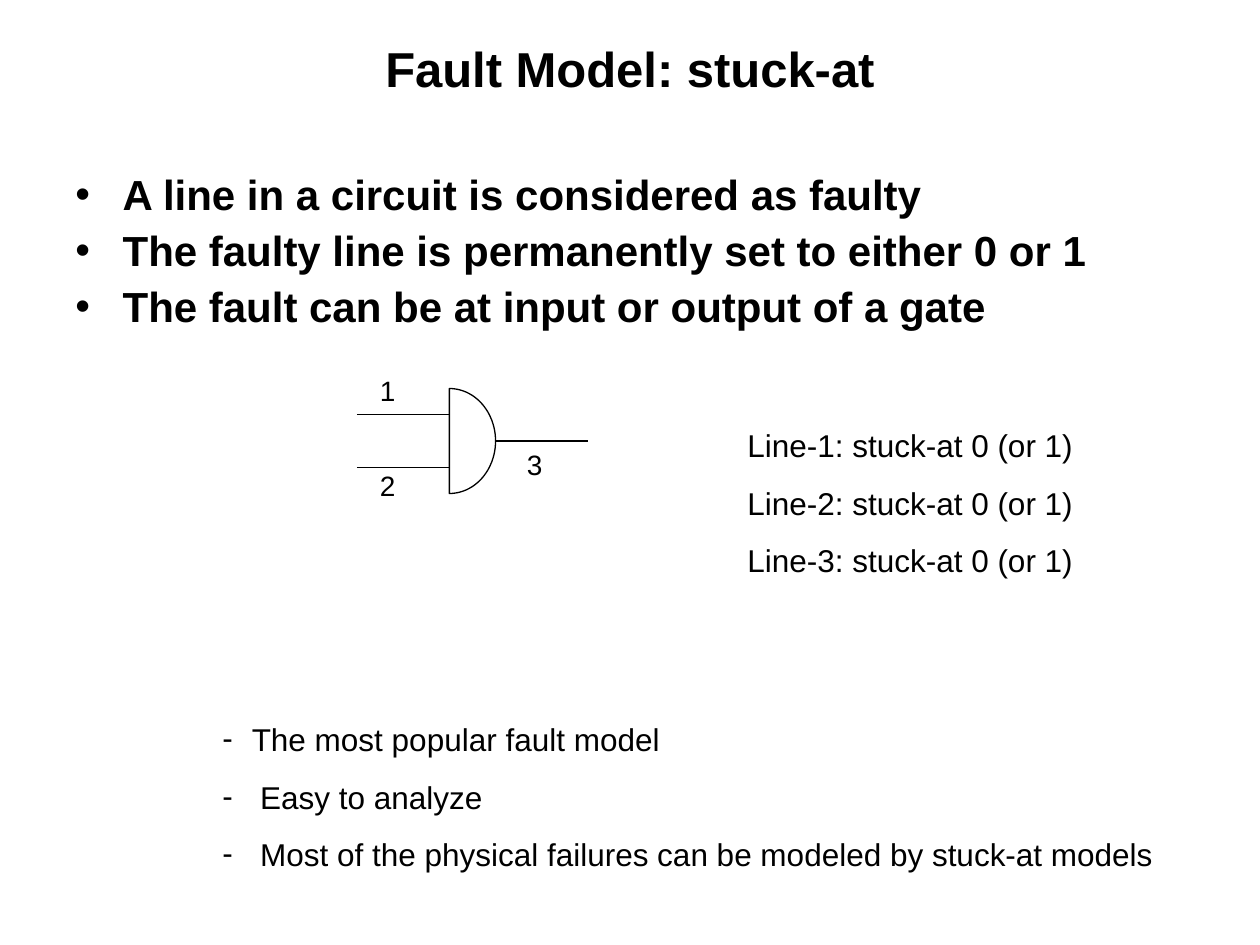
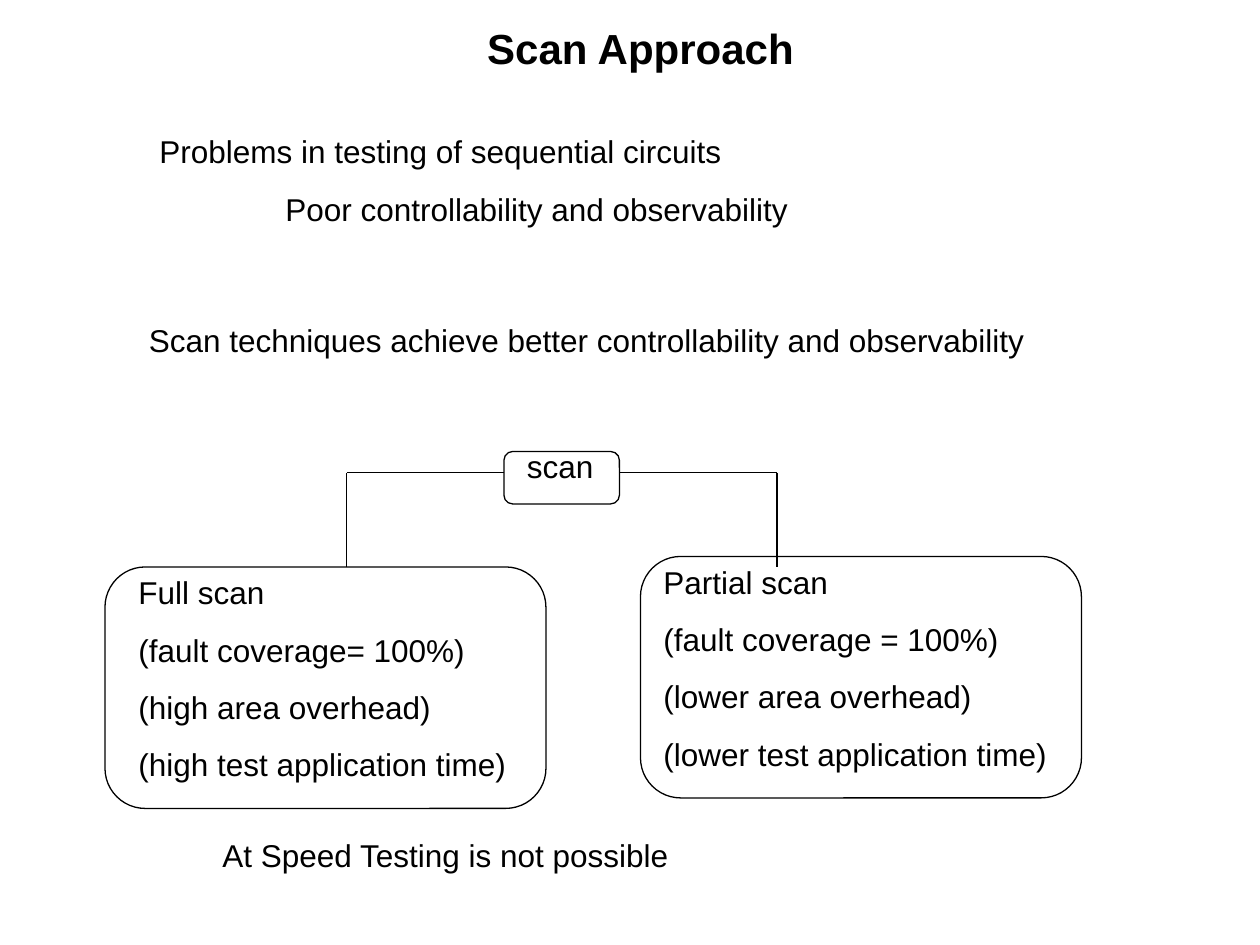
"""Builds two slides on circuit testing: the stuck-at fault model and the scan approach."""
from dataclasses import dataclass
from math import cos, pi, sin

from lxml import etree
from pptx import Presentation
from pptx.dml.color import RGBColor
from pptx.enum.shapes import MSO_CONNECTOR, MSO_SHAPE
from pptx.enum.text import MSO_ANCHOR, PP_ALIGN
from pptx.oxml.ns import qn
from pptx.slide import Slide
from pptx.util import Emu, Inches, Pt

STRAIGHT = MSO_CONNECTOR.STRAIGHT
ROUNDED = MSO_SHAPE.ROUNDED_RECTANGLE
MIDDLE, TOP = MSO_ANCHOR.MIDDLE, MSO_ANCHOR.TOP
CENTER, LEFT = PP_ALIGN.CENTER, PP_ALIGN.LEFT

WIDTH, HEIGHT = Inches(10), Inches(7.5)
COLUMNS, ROWS = 120, 90


@dataclass(frozen=True)
class Theme:
    """Colours, font and stroke shared by the slides."""
    ink: RGBColor = RGBColor(0, 0, 0)
    paper: RGBColor = RGBColor(255, 255, 255)
    font: str = "Arial"
    stroke: float = 0.75
    title_size: int = 28
    heading_size: int = 24
    text_size: int = 18
    pin_size: int = 16


THEME = Theme()


@dataclass(frozen=True)
class Style:
    """Look of the paragraphs in one text block."""
    size: int
    bold: bool = False
    align: PP_ALIGN = LEFT
    anchor: MSO_ANCHOR = TOP
    space_before: float = 11.2
    line_spacing: float = 1.0


TITLE = Style(THEME.title_size, True, CENTER, MIDDLE)
SMALL_TITLE = Style(THEME.heading_size, True, CENTER, MIDDLE)
POINTS = Style(THEME.heading_size, True, space_before=6, line_spacing=0.9)
TEXT = Style(THEME.text_size)
PIN = Style(THEME.pin_size)


@dataclass(frozen=True)
class Area:
    """Rectangle in grid columns and rows."""
    column: float
    row: float
    columns: float
    rows: float

    def lengths(self) -> tuple[Emu, Emu, Emu, Emu]:
        """Return left, top, width and height."""
        return across(self.column), down(self.row), across(self.columns), down(self.rows)


@dataclass(frozen=True)
class Entry:
    """Paragraph with its indent in columns and an optional bullet."""
    text: str
    indent: float = 0
    bullet: str = ""


@dataclass(frozen=True)
class Block:
    """Text block with its place and look."""
    area: Area
    entries: tuple[Entry, ...]
    style: Style = TEXT


@dataclass(frozen=True)
class Wire:
    """Straight line between two grid points."""
    start: tuple[float, float]
    end: tuple[float, float]


def across(columns: float) -> Emu:
    """Turn grid columns into a length."""
    return Emu(round(WIDTH * columns / COLUMNS))


def down(rows: float) -> Emu:
    """Turn grid rows into a length."""
    return Emu(round(HEIGHT * rows / ROWS))


def entries(*texts: str, indent: float = 0, bullet: str = "") -> tuple[Entry, ...]:
    """Make entries that share an indent and a bullet."""
    return tuple(Entry(text, indent, bullet) for text in texts)


def draw_block(page: Slide, block: Block) -> None:
    """Draw a text block."""
    style = block.style
    frame = page.shapes.add_textbox(*block.area.lengths()).text_frame
    frame.word_wrap = True
    frame.vertical_anchor = style.anchor
    frame.text = "\n".join(entry.text for entry in block.entries)
    for index, (para, entry) in enumerate(zip(frame.paragraphs, block.entries)):
        para.alignment = style.align
        para.line_spacing = style.line_spacing
        if index:
            para.space_before = Pt(style.space_before)
        properties = para._p.get_or_add_pPr()
        properties.set("marL", str(across(entry.indent)))
        if entry.bullet:
            properties.set("indent", str(-across(entry.indent)))
            etree.SubElement(properties, qn("a:buFont"), typeface=THEME.font)
            etree.SubElement(properties, qn("a:buChar"), char=entry.bullet)
        for span in para.runs:
            span.font.name = THEME.font
            span.font.size = Pt(style.size)
            span.font.bold = style.bold
            span.font.color.rgb = THEME.ink


def outline(shape) -> None:
    """Give a shape or connector the thin dark stroke."""
    shape.line.color.rgb = THEME.ink
    shape.line.width = Pt(THEME.stroke)


def draw_wire(page: Slide, wire: Wire) -> None:
    """Draw a straight line."""
    (left, top), (right, bottom) = wire.start, wire.end
    line = page.shapes.add_connector(
        STRAIGHT, across(left), down(top), across(right), down(bottom))
    outline(line)
    etree.SubElement(line._element.spPr, qn("a:effectLst"))


def draw_frame(page: Slide, area: Area) -> None:
    """Draw an unfilled rounded frame."""
    box = page.shapes.add_shape(ROUNDED, *area.lengths())
    box.shadow.inherit = False
    box.fill.background()
    outline(box)


def draw_gate(page: Slide, area: Area, steps: int = 48) -> None:
    """Draw an AND gate as a closed half ellipse."""
    middle, radius = area.row + area.rows / 2, area.rows / 2
    angles = [pi * (step / steps - 0.5) for step in range(steps + 1)]
    points = [(across(area.column + area.columns * cos(angle)),
               down(middle + radius * sin(angle))) for angle in angles]
    builder = page.shapes.build_freeform(*points[0])
    builder.add_line_segments(points[1:], close=True)
    gate = builder.convert_to_shape()
    gate.shadow.inherit = False
    gate.fill.background()
    outline(gate)


def add_page(deck, blocks: tuple[Block, ...], wires: tuple[Wire, ...]) -> Slide:
    """Add a blank page with text blocks and wires."""
    page = deck.slides.add_slide(deck.slide_layouts[6])
    page.background.fill.solid()
    page.background.fill.fore_color.rgb = THEME.paper
    for block in blocks:
        draw_block(page, block)
    for wire in wires:
        draw_wire(page, wire)
    return page


def add_fault_model(deck) -> None:
    """Add the stuck-at fault model page."""
    gate = Area(42.8, 37, 4.4, 10)
    lead = 8.8
    tip = gate.column + gate.columns
    upper, centre, lower = (gate.row + gate.rows * share for share in (0.25, 0.5, 0.75))
    pins = (("1", 35, 35), ("2", 35, 44), ("3", 49, 42))
    blocks = (
        Block(Area(6, 3, 108, 7), entries("Fault Model: stuck-at"), TITLE),
        Block(Area(6, 16, 108, 18), entries(
            "A line in a circuit is considered as faulty",
            "The faulty line is permanently set to either 0 or 1",
            "The fault can be at input or output of a gate",
            indent=4.5, bullet="•"), POINTS),
        *(Block(Area(column, row, 5, 4.4), entries(name), PIN) for name, column, row in pins),
        Block(Area(70, 40, 41, 15.8), entries(
            *(f"Line-{name}: stuck-at 0 (or 1)" for name, _, _ in pins))),
        Block(Area(20, 68, 93, 15.8), (
            Entry("The most popular fault model", 2.8, "-"),
            *entries("Easy to analyze",
                     "Most of the physical failures can be modeled by stuck-at models",
                     indent=3.6, bullet="-"))),
    )
    wires = (
        *(Wire((gate.column - lead, row), (gate.column, row)) for row in (upper, lower)),
        Wire((tip, centre), (tip + lead, centre)),
    )
    draw_gate(add_page(deck, blocks, wires), gate)


def add_scan_approach(deck) -> None:
    """Add the scan approach page."""
    root = Area(48, 43, 11, 5)
    full, partial = Area(10, 54, 42, 23), Area(61, 53, 42, 23)
    branch_row, branch_end, reach = 45, 54, 15
    blocks = (
        Block(Area(7, 0, 108, 9), entries("Scan Approach"), SMALL_TITLE),
        Block(Area(14, 12, 88, 10.3), (
            Entry("Problems in testing of sequential circuits"),
            Entry("Poor controllability and observability", 12))),
        Block(Area(13, 30, 86, 4.8), entries(
            "Scan techniques achieve better controllability and observability")),
        Block(Area(49, 42, 24, 4.8), entries("scan")),
        Block(Area(12, 54, 38, 21.2), entries(
            "Full scan", "(fault coverage= 100%)",
            "(high area overhead)", "(high test application time)")),
        Block(Area(62, 53, 45, 21.2), entries(
            "Partial scan", "(fault coverage = 100%)",
            "(lower area overhead)", "(lower test application time)")),
        Block(Area(20, 79, 78, 4.8), entries("At Speed Testing is not possible")),
    )
    wires = []
    for edge, side in ((root.column, -1), (root.column + root.columns, 1)):
        corner = (edge + side * reach, branch_row)
        wires += [Wire((edge, branch_row), corner), Wire(corner, (corner[0], branch_end))]
    page = add_page(deck, blocks, tuple(wires))
    for area in (root, partial, full):
        draw_frame(page, area)


def main() -> None:
    """Build and save the deck."""
    deck = Presentation()
    deck.slide_width, deck.slide_height = WIDTH, HEIGHT
    add_fault_model(deck)
    add_scan_approach(deck)
    deck.save("out.pptx")


if __name__ == "__main__":
    main()
